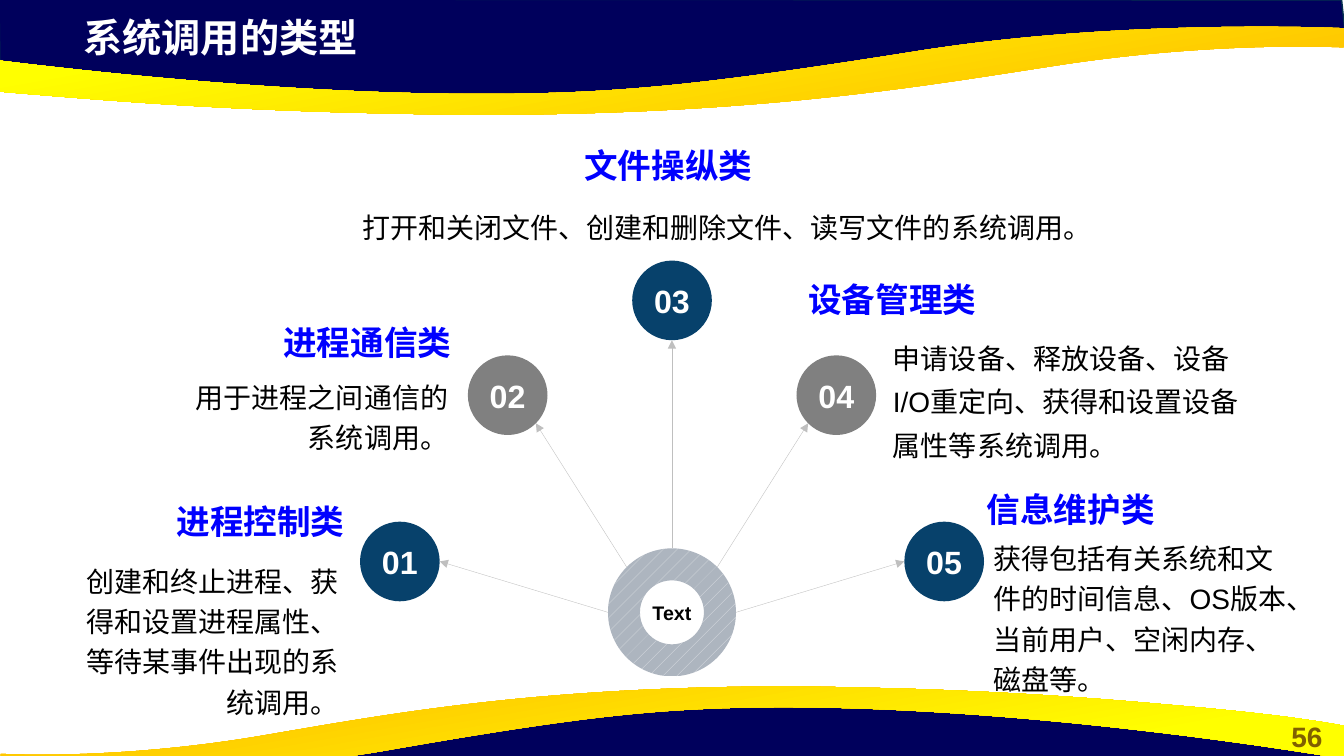
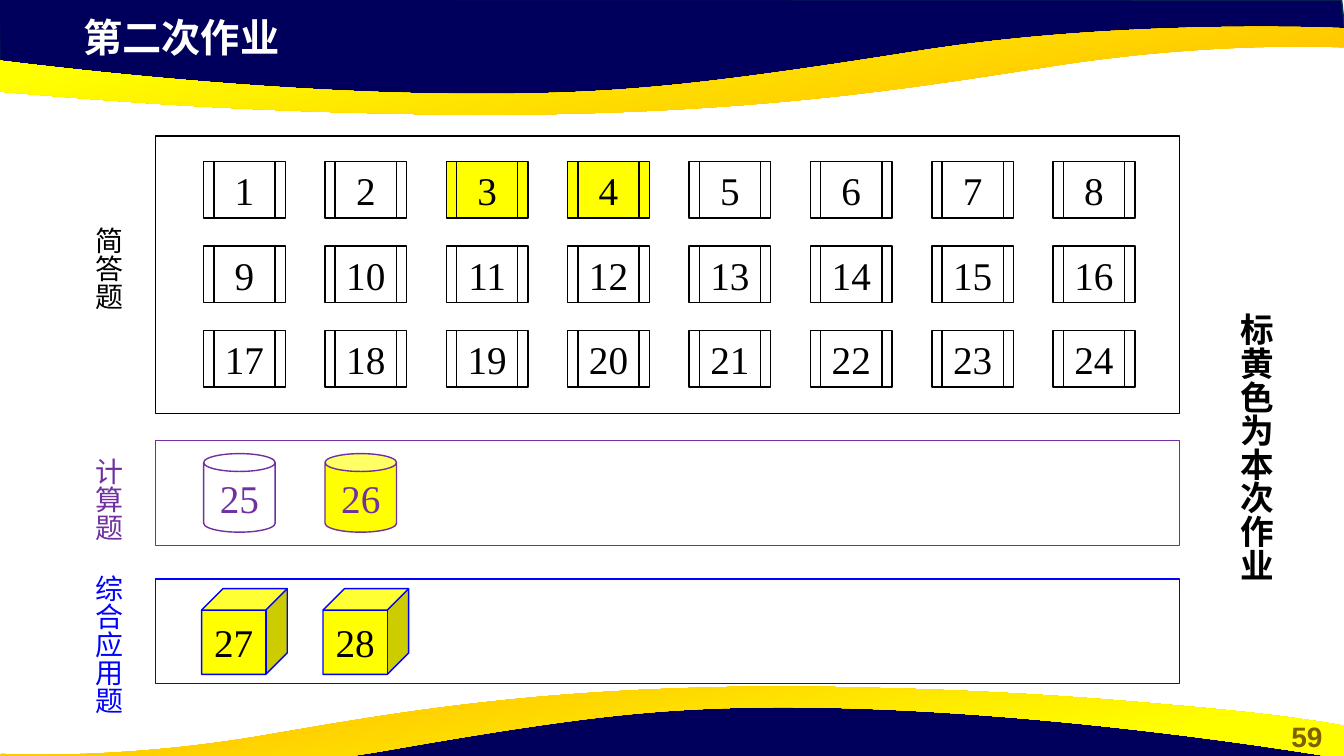
"""Build two operating-systems lecture slides: system call types and homework."""
import math
from itertools import product

from lxml import etree
from pptx import Presentation, util as u
from pptx.dml.color import RGBColor
from pptx.enum import dml, shapes as kinds, text as t
from pptx.oxml import ns

COLOURS = {
    "navy": "00005C", "navy edge": "05304F", "amber": "FFC000", "yellow": "FFFF00",
    "page number": "806000", "white": "FFFFFF", "black": "000000", "blue": "0000FF",
    "deep blue": "07416B", "grey": "808080", "arrow": "BFBFBF", "purple": "7030A0",
    "hub": "ADB5BF", "hub dots": "E4E6EA",
}
RGB = {name: RGBColor.from_string(value) for name, value in COLOURS.items()}
CELL = u.Inches(0.1)
COLUMNS, ROWS = 133.33, 75
SHAPE = kinds.MSO_SHAPE
LEFT, CENTER, RIGHT = t.PP_ALIGN.LEFT, t.PP_ALIGN.CENTER, t.PP_ALIGN.RIGHT


def put(page, kind, at, fill=None, line=None):
    """Add a preset shape, or a text box when kind is None, at grid cells."""
    place = [round(value * CELL) for value in at]
    if kind is None:
        return page.shapes.add_textbox(*place)
    shape = page.shapes.add_shape(kind, *place)
    shape.shadow.inherit = False
    if fill:
        shape.fill.solid()
        shape.fill.fore_color.rgb = RGB[fill]
    else:
        shape.fill.background()
    if line:
        shape.line.color.rgb = RGB[line]
        shape.line.width = u.Pt(1)
    else:
        shape.line.fill.background()
    return shape


def write(box, words, size, colour, bold=False, align=LEFT, spacing=None,
          font="Arial", vertical=False):
    """Fill a box with one paragraph of formatted text."""
    frame = box.text_frame
    frame.text = words
    frame.word_wrap = not vertical
    if vertical:
        frame.auto_size = t.MSO_AUTO_SIZE.SHAPE_TO_FIT_TEXT
        frame._txBody.bodyPr.set("vert", "eaVert")
    para = frame.paragraphs[0]
    para.alignment = align
    para.line_spacing = spacing
    span = para.runs[0]
    span.font.size = u.Pt(size)
    span.font.bold = bold
    span.font.name = font
    span.font.color.rgb = RGB[colour]
    east = etree.SubElement(span._r.get_or_add_rPr(), ns.qn("a:ea"))
    east.set("typeface", "Noto Sans CJK SC")


navy_top = [[point] for point in [
    (-0.1, -0.1), (0, 7), (29.3, 10.2), (55.9, 10), (79.5, 8.8),
    (101.6, 5), (123.8, 3.3), (133.5, 3.8), (133.1, 0)]]
gold_top = [
    [(48.3, 11.4)],
    [(44.3, 11.4), (40.1, 11.3), (35.6, 11.2)],
    [(20.6, 10.8), (11, 10), (3.6, 9.4)],
    [(-8.8, 8.4), (-13, 7.5), (-13.3, 7.5)],
    [(-13.3, 4.2)],
    [(-13.3, 4.2), (21.8, 9.8), (51.7, 9.3)],
    [(62.6, 9.1), (70.8, 8.3), (91.5, 5)],
    [(112.1, 1.8), (133.3, 2.8), (133.3, 2.8)],
    [(133.3, 4.7)],
    [(133, 4.7)],
    [(130.5, 4.6), (119.5, 4.3), (105.5, 6.4)],
    [(91.8, 8.5), (76.2, 11.3), (48.3, 11.4)],
]
navy_bottom = [[(133.2 - x, 79.4 - y) for x, y in segment] for segment in navy_top]
gold_bottom = [[(COLUMNS - (x + 13.3) / 1.1, 79.5 - y) for x, y in segment]
               for segment in gold_top]
bands = [(navy_top, None), (gold_top, 100), (navy_bottom, None), (gold_bottom, 280)]

deck = Presentation()
deck.slide_width = round(COLUMNS * CELL)
deck.slide_height = ROWS * CELL

pages = []
for title, number in [("系统调用的类型", "56"), ("第二次作业", "59")]:
    page = deck.slides.add_slide(deck.slide_layouts[6])
    for outline, angle in bands:
        segments = [[(round(x * CELL), round(y * CELL)) for x, y in segment]
                    for segment in outline]
        builder = page.shapes.build_freeform(*segments[0][0])
        builder.add_line_segments([segment[-1] for segment in segments[1:]], close=True)
        band = builder.convert_to_shape()
        edges = list(band._element.iter(ns.qn("a:lnTo")))
        for edge, segment in zip(edges, segments[1:]):
            if len(segment) == 1:
                continue
            edge.tag = ns.qn("a:cubicBezTo")
            for place, (x, y) in enumerate(segment[:2]):
                control = etree.Element(ns.qn("a:pt"))
                control.set("x", str(x - band.left))
                control.set("y", str(y - band.top))
                edge.insert(place, control)
        band.shadow.inherit = False
        if angle is None:
            band.fill.solid()
            band.fill.fore_color.rgb = RGB["navy"]
            band.line.color.rgb = RGB["navy edge"]
            band.line.width = u.Pt(1)
        else:
            band.fill.gradient()
            band.fill.gradient_angle = angle
            for stop, colour, position in zip(band.fill.gradient_stops,
                                              ("amber", "yellow"), (0.11, 0.78)):
                stop.color.rgb = RGB[colour]
                stop.position = position
            band.line.fill.background()
    write(put(page, None, (126, 70.9, 7.3, 4.4)), number, 20, "page number", True, CENTER)
    write(put(page, None, (7.3, 0.85, 76.8, 5.7)), title, 28, "white", True)
    pages.append(page)

types_page, homework_page = pages

hub_x, hub_y, hub_radius, node_radius = COLUMNS / 2, 60.75, 6.35, 3.95
nodes = [(-27, 55.7, 180), (-16.3, 39.2, 135), (0, 29.8, 90), (16.3, 39.2, 45), (27, 55.7, 0)]
for index, (offset, y, degrees) in enumerate(nodes):
    x = hub_x + offset
    circle = put(types_page, SHAPE.OVAL,
                 (x - node_radius, y - node_radius, 2 * node_radius, 2 * node_radius),
                 "grey" if index % 2 else "deep blue")
    write(circle, f"{index + 1:02}", 23, "white", True, CENTER)
    across, up = math.cos(math.radians(degrees)), math.sin(math.radians(degrees))
    ends = (hub_x + hub_radius * across, hub_y - hub_radius * up,
            x - node_radius * across, y + node_radius * up)
    arrow = types_page.shapes.add_connector(
        kinds.MSO_CONNECTOR.STRAIGHT, *[round(value * CELL) for value in ends])
    arrow.line.color.rgb = RGB["arrow"]
    arrow.line.width = u.Pt(0.25)
    etree.SubElement(arrow.line._get_or_add_ln(), ns.qn("a:tailEnd")).set("type", "triangle")
    etree.SubElement(arrow._element.spPr, ns.qn("a:effectLst"))

hub = put(types_page, SHAPE.DONUT,
          (hub_x - hub_radius, hub_y - hub_radius, 2 * hub_radius, 2 * hub_radius))
hub.fill.patterned()
hub.fill.pattern = dml.MSO_PATTERN.PERCENT_5
hub.fill.fore_color.rgb = RGB["hub dots"]
hub.fill.back_color.rgb = RGB["hub"]
write(hub, "Text", 14, "black", True, CENTER)

call_types = [
    ("进程控制类", (7.75, 49.15, 27.4, 4.5), RIGHT, 1.2, (7.2, 54.8, 27.4, 7.8),
     "创建和终止进程、获得和设置进程属性、等待某事件出现的系统调用。"),
    ("进程通信类", (18.35, 31.45, 27.4, 4.5), RIGHT, 1.2, (16.35, 36.6, 29.1, 11.4),
     "用于进程之间通信的系统调用。"),
    ("文件操纵类", (52, 13.9, 28.6, 4.5), CENTER, 1.4, (32.05, 19.1, 80.1, 6.1),
     "打开和关闭文件、创建和删除文件、读写文件的系统调用。"),
    ("设备管理类", (79.2, 27.2, 27.3, 4.5), LEFT, 1.3, (87.6, 32.35, 38, 12.3),
     "申请设备、释放设备、设备I/O重定向、获得和设置设备属性等系统调用。"),
    ("信息维护类", (96.9, 48, 27.3, 4.5), LEFT, 1.2, (97.55, 52.55, 31.1, 17.8),
     "获得包括有关系统和文件的时间信息、OS版本、当前用户、空闲内存、磁盘等。"),
]
for heading, heading_at, align, spacing, detail_at, detail in call_types:
    write(put(types_page, None, detail_at), detail, 20, "black", False, align, spacing)
    write(put(types_page, None, heading_at), heading, 24, "blue", True, align)

sections = [
    ("简答题", "black", 13.5, 27.55, 21.5, 9.4),
    ("计算题", "purple", 43.7, 10.4, 44.45, 9.4),
    ("综合应用题", "blue", 57.45, 10.35, 56, 15),
]
for label, colour, top, height, label_top, label_height in sections:
    put(homework_page, SHAPE.RECTANGLE, (15.45, top, 101.6, height), None, colour)
    write(put(homework_page, None, (7.55, label_top, 5.4, label_height)), label, 20, colour,
          font="Noto Sans CJK SC", vertical=True)
write(put(homework_page, None, (121, 30.1, 6.1, 27.9)), "标黄色为本次作业", 24, "black", True,
      font="Noto Sans CJK SC", vertical=True)

assigned = {3, 4, 26, 27, 28}
first_column, column_step, first_row, row_step = 20.2, 12.04, 16.05, 8.37
questions = [(SHAPE.FLOWCHART_PREDEFINED_PROCESS, column, first_row + row * row_step,
              8.1, 5.6, "black", "black") for row, column in product(range(3), range(8))]
questions += [(SHAPE.CAN, column, 45, 7.1, 7.8, "purple", "purple") for column in range(2)]
questions += [(SHAPE.CUBE, column, 58.4, 8.5, 8.5, "blue", "black") for column in range(2)]
for number, (kind, column, top, width, height, line, ink) in enumerate(questions, 1):
    left = first_column + column * column_step - (0.2 if kind == SHAPE.CUBE else 0)
    question = put(homework_page, kind, (left, top, width, height),
                   "yellow" if number in assigned else None, line)
    write(question, str(number), 28, ink, align=CENTER, font="Times New Roman")
    question.text_frame.margin_left = question.text_frame.margin_right = 0

deck.save("out.pptx")
